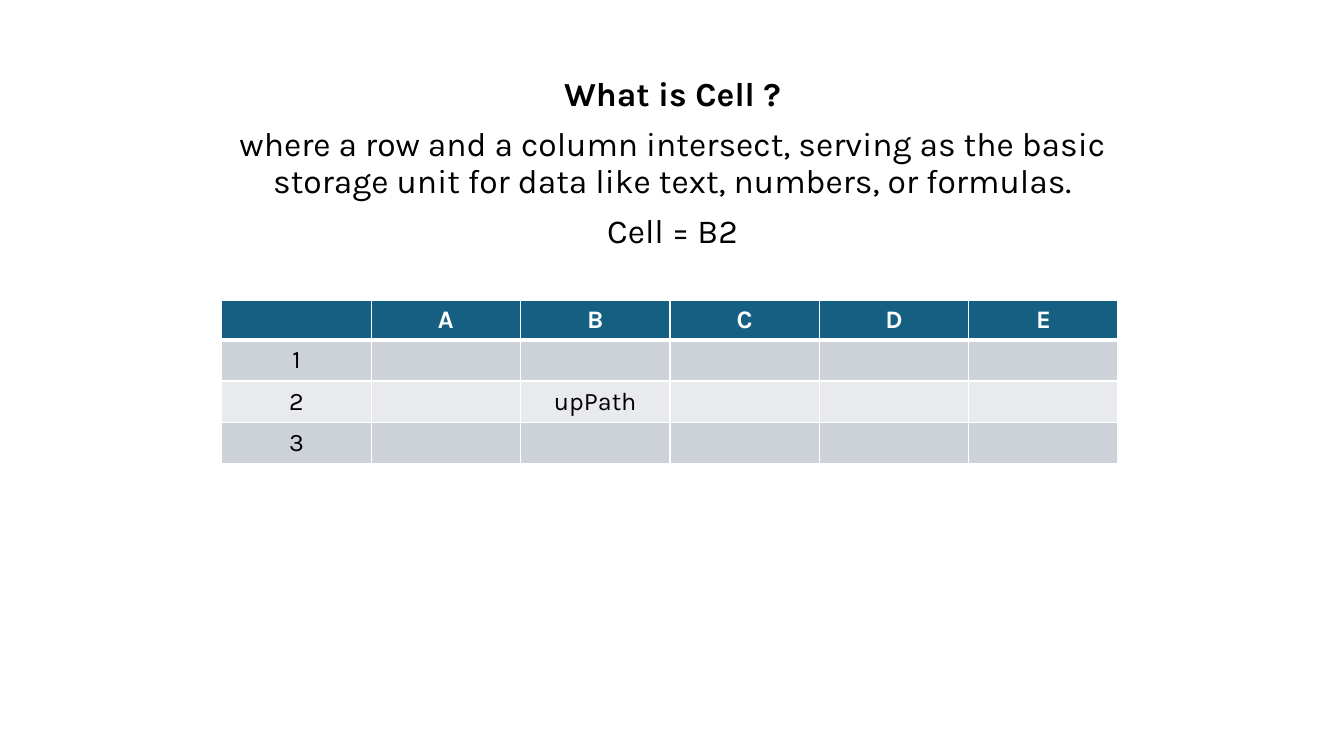
from lxml import etree
from pptx import Presentation
from pptx import util as u
from pptx.dml.color import RGBColor
from pptx.enum import text
from pptx.oxml import ns

COLOURS = {
    "ink": "000000",
    "white": "FFFFFF",
    "header": "156082",
    "odd": "CCD2D8",
    "even": "E8EAED",
}
INTRO = [
    "What is Cell ?",
    "where a row and a column intersect, serving as the basic storage unit "
    "for data like text, numbers, or formulas.",
    "Cell = B2",
]
SHEET = [
    ["", "A", "B", "C", "D", "E"],
    ["1", "", "", "", "", ""],
    ["2", "", "upPath", "", "", ""],
    ["3", "", "", "", "", ""],
]


class CellPage:
    typeface = "Karla"

    def __init__(self, deck):
        self.page = deck.slides.add_slide(deck.slide_layouts[0])
        title = self.page.shapes.title
        title.element.getparent().remove(title.element)

    def add_words(self, para, words, size, colour, bold=False):
        para.alignment = text.PP_ALIGN.CENTER
        span = para.add_run()
        span.text = words
        span.font.name = self.typeface
        span.font.size = u.Pt(size)
        span.font.bold = bold
        span.font.color.rgb = RGBColor.from_string(COLOURS[colour])

    def intro(self, lines, left, top, width, height):
        box = self.page.placeholders[1]
        box.left, box.top = u.Inches(left), u.Inches(top)
        box.width, box.height = u.Inches(width), u.Inches(height)
        frame = box.text_frame
        frame.word_wrap = True
        frame.auto_size = text.MSO_AUTO_SIZE.NONE
        frame.vertical_anchor = text.MSO_ANCHOR.TOP
        for index, line in enumerate(lines):
            para = frame.add_paragraph() if index else frame.paragraphs[0]
            para.line_spacing = 0.9
            para.space_before = u.Pt(10 if index else 0)
            self.add_words(para, line, 24, "ink", bold=index == 0)

    def borders(self, cell, widths):
        properties = cell._tc.get_or_add_tcPr()
        for position, (side, width) in enumerate(widths.items()):
            line = etree.Element(ns.qn(f"a:ln{side}"), w=str(u.Pt(width)))
            fill = etree.SubElement(line, ns.qn("a:solidFill"))
            etree.SubElement(fill, ns.qn("a:srgbClr"), val=COLOURS["white"])
            properties.insert(position, line)

    def sheet(self, rows, left, top, width, heights):
        frame = self.page.shapes.add_table(
            len(rows), len(rows[0]), u.Inches(left), u.Inches(top),
            u.Inches(width), u.Inches(sum(heights)))
        table = frame.table
        for row, height in zip(table.rows, heights):
            row.height = u.Inches(height)
        for r, values in enumerate(rows):
            shade = "header" if r == 0 else "odd" if r % 2 else "even"
            for c, value in enumerate(values):
                cell = table.cell(r, c)
                cell.margin_top = cell.margin_bottom = u.Inches(0.02)
                cell.vertical_anchor = text.MSO_ANCHOR.MIDDLE
                cell.fill.solid()
                cell.fill.fore_color.rgb = RGBColor.from_string(COLOURS[shade])
                self.borders(cell, {"L": 1, "R": 1,
                                    "T": 3 if r == 1 else 1,
                                    "B": 3 if r == 0 else 1})
                if value:
                    self.add_words(cell.text_frame.paragraphs[0], value, 18,
                                   "ink" if r else "white", bold=r == 0)


def main():
    deck = Presentation()
    deck.slide_width, deck.slide_height = u.Inches(13.33), u.Inches(7.5)
    page = CellPage(deck)
    page.intro(INTRO, 1.67, 0.72, 10, 5.03)
    page.sheet(SHEET, 2.2, 2.98, 8.89, [0.39] + [0.41] * 3)
    deck.save("out.pptx")


if __name__ == "__main__":
    main()
